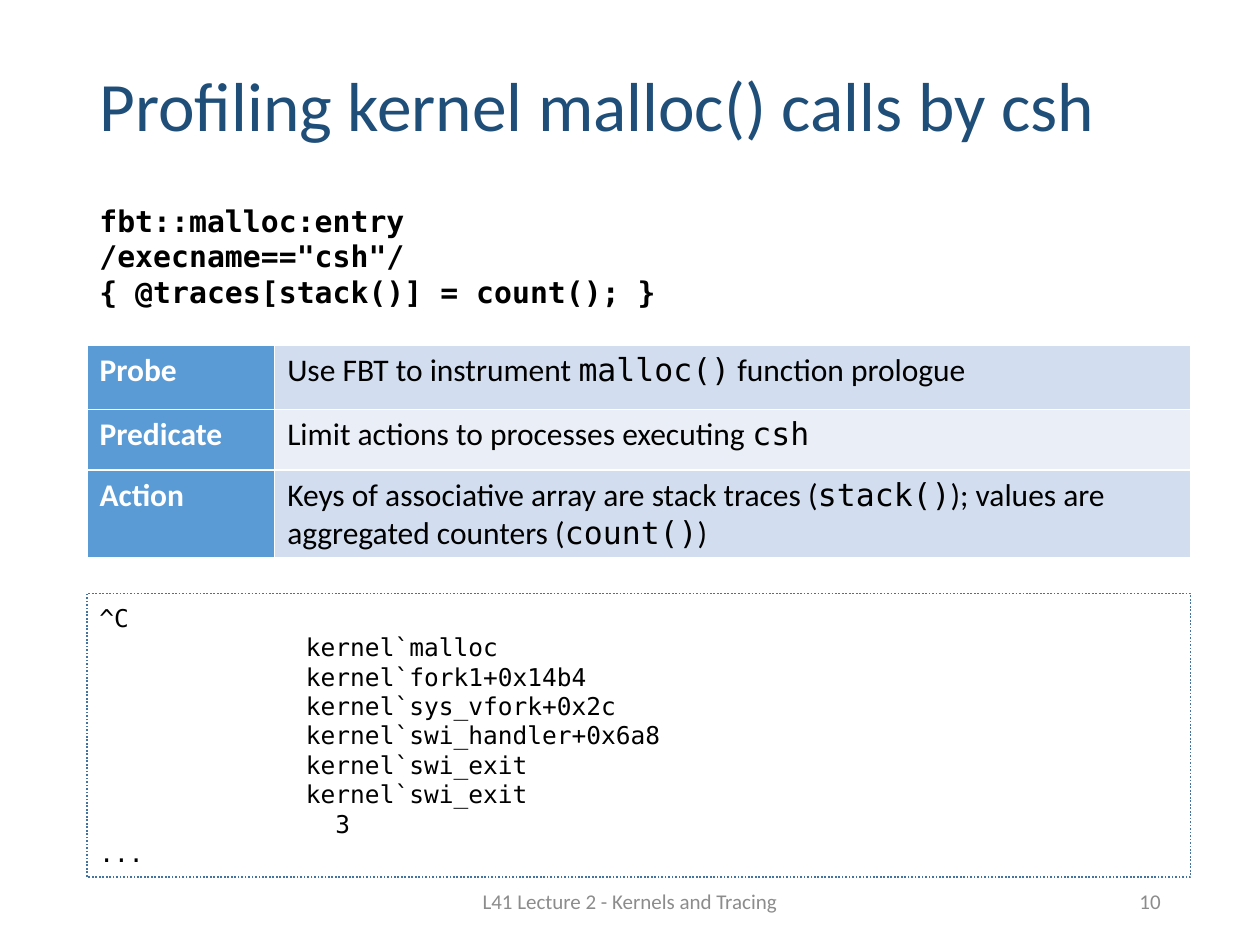
from dataclasses import dataclass

from lxml.etree import SubElement
from pptx import Presentation
from pptx.dml.color import RGBColor as RGB
from pptx.enum.dml import MSO_LINE
from pptx.enum.shapes import MSO_SHAPE
from pptx.enum.text import MSO_ANCHOR, MSO_AUTO_SIZE, PP_ALIGN
from pptx.oxml.ns import qn
from pptx.util import Inches, Pt

# Content: lines are lists of (text, style) runs
TITLE = "Profiling kernel malloc() calls by csh"
FOOTER = "L41 Lecture 2 - Kernels and Tracing"
PAGE_NUMBER = "10"
SCRIPT = [
    "fbt::malloc:entry",
    '/execname=="csh"/',
    "{ @traces[stack()] = count(); }",
]
CLAUSES = [
    ("Probe", [("Use FBT to instrument ", "cell"), ("malloc()", "cell_code"),
               (" function prologue", "cell")]),
    ("Predicate", [("Limit actions to processes executing ", "cell"),
                   ("csh", "cell_code")]),
    ("Action", [("Keys of associative array are stack traces (", "cell"),
                ("stack()", "cell_code"),
                ("); values are aggregated counters (", "cell"),
                ("count()", "cell_code"), (")", "cell")]),
]
OUTPUT = [
    "^C",
    "              kernel`malloc",
    "              kernel`fork1+0x14b4",
    "              kernel`sys_vfork+0x2c",
    "              kernel`swi_handler+0x6a8",
    "              kernel`swi_exit",
    "              kernel`swi_exit",
    "                3",
    "...",
]


@dataclass(frozen=True)
class Style:
    size: float
    color: str
    font: str = "Calibri"
    bold: bool = False


class Theme:
    MONO = "DejaVu Sans Mono"
    LABEL_FILL = "5B9BD5"
    BAND_FILLS = ("D2DEEF", "EAEFF7")
    GRID = "FFFFFF"
    FRAME = "43739E"
    STYLES = {
        "title": Style(39.6, "1F4E79"),
        "footer": Style(12, "8C8C8C"),
        "script": Style(17, "000000", MONO, True),
        "label": Style(18, "FFFFFF", bold=True),
        "cell": Style(18, "000000"),
        "cell_code": Style(18, "000000", MONO),
        "output": Style(14, "000000", MONO),
    }


# Layout in inches
LEFT = 0.69
TEXT_WIDTH = 8.62
COLUMN_WIDTHS = (1.49, 7.27)
ROW_HEIGHTS = (0.51, 0.48, 0.7)
PANEL_WIDTH = sum(COLUMN_WIDTHS)
FOOTER_TOP, FOOTER_HEIGHT = 6.95, 0.4


def box(*lengths):
    return [Inches(length) for length in lengths]


def write(frame, lines, align=PP_ALIGN.LEFT, anchor=MSO_ANCHOR.MIDDLE):
    frame.word_wrap = True
    frame.vertical_anchor = anchor
    for index, line in enumerate(lines):
        paragraph = frame.add_paragraph() if index else frame.paragraphs[0]
        paragraph.alignment = align
        for text, style_name in line:
            style = Theme.STYLES[style_name]
            run = paragraph.add_run()
            run.text = text
            run.font.name = style.font
            run.font.size = Pt(style.size)
            run.font.bold = style.bold
            run.font.color.rgb = RGB.from_string(style.color)


def add_text(slide, lengths, lines, align=PP_ALIGN.LEFT):
    shape = slide.shapes.add_textbox(*box(*lengths))
    write(shape.text_frame, lines, align)


def format_cell(cell, runs, fill):
    write(cell.text_frame, [runs])
    cell.vertical_anchor = MSO_ANCHOR.TOP
    properties = cell._tc.get_or_add_tcPr()
    for side in ("a:lnL", "a:lnR", "a:lnT", "a:lnB"):
        line = SubElement(properties, qn(side), w=str(Pt(1)))
        SubElement(SubElement(line, qn("a:solidFill")), qn("a:srgbClr"), val=Theme.GRID)
    cell.fill.solid()
    cell.fill.fore_color.rgb = RGB.from_string(fill)


def add_clause_table(slide):
    table = slide.shapes.add_table(
        len(CLAUSES), len(COLUMN_WIDTHS),
        *box(LEFT, 2.74, PANEL_WIDTH, sum(ROW_HEIGHTS))).table
    table.first_row = False
    table.horz_banding = False
    for column, width in zip(table.columns, COLUMN_WIDTHS):
        column.width = Inches(width)
    for index, (label, runs) in enumerate(CLAUSES):
        table.rows[index].height = Inches(ROW_HEIGHTS[index])
        format_cell(table.cell(index, 0), [(label, "label")], Theme.LABEL_FILL)
        format_cell(table.cell(index, 1), runs, Theme.BAND_FILLS[index % 2])


def add_output_panel(slide):
    panel = slide.shapes.add_shape(
        MSO_SHAPE.RECTANGLE, *box(LEFT, 4.71, PANEL_WIDTH, 2.25))
    panel.shadow.inherit = False
    panel.fill.background()
    panel.line.color.rgb = RGB.from_string(Theme.FRAME)
    panel.line.width = Pt(1)
    panel.line.dash_style = MSO_LINE.ROUND_DOT
    write(panel.text_frame, [[(line, "output")] for line in OUTPUT])


def main():
    presentation = Presentation()
    presentation.slide_width, presentation.slide_height = box(10, 7.5)
    slide = presentation.slides.add_slide(presentation.slide_layouts[5])

    # Title
    title = slide.shapes.title
    title.left, title.top, title.width, title.height = box(LEFT, 0.25, TEXT_WIDTH, 1.23)
    write(title.text_frame, [[(TITLE, "title")]])
    title.text_frame.auto_size = MSO_AUTO_SIZE.NONE
    title.text_frame.paragraphs[0].line_spacing = 0.9

    # Footer and page number
    add_text(slide, (3.31, FOOTER_TOP, 3.38, FOOTER_HEIGHT),
             [[(FOOTER, "footer")]], PP_ALIGN.CENTER)
    add_text(slide, (7.06, FOOTER_TOP, 2.25, FOOTER_HEIGHT),
             [[(PAGE_NUMBER, "footer")]], PP_ALIGN.RIGHT)

    # Tracing script, its explanation and its output
    add_text(slide, (LEFT, 1.52, TEXT_WIDTH, 1.02),
             [[(line, "script")] for line in SCRIPT])
    add_clause_table(slide)
    add_output_panel(slide)

    presentation.save("out.pptx")


if __name__ == "__main__":
    main()
